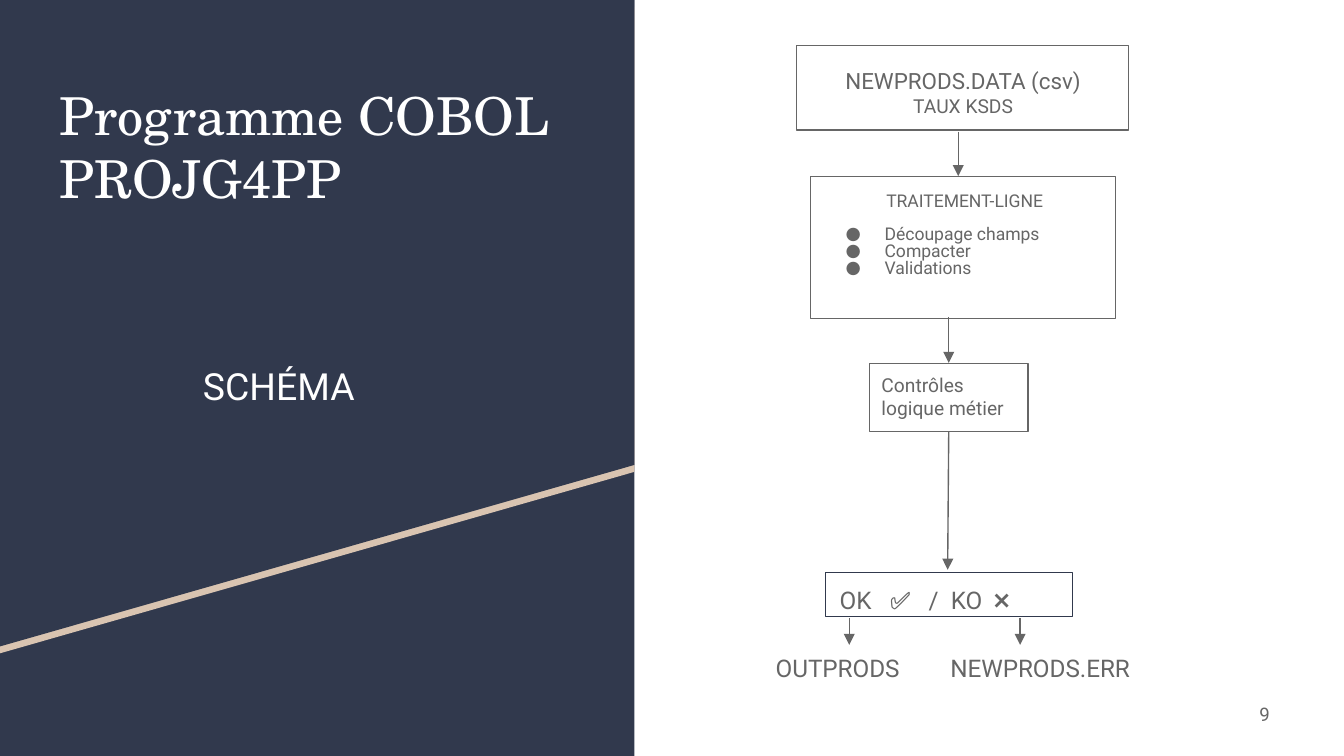
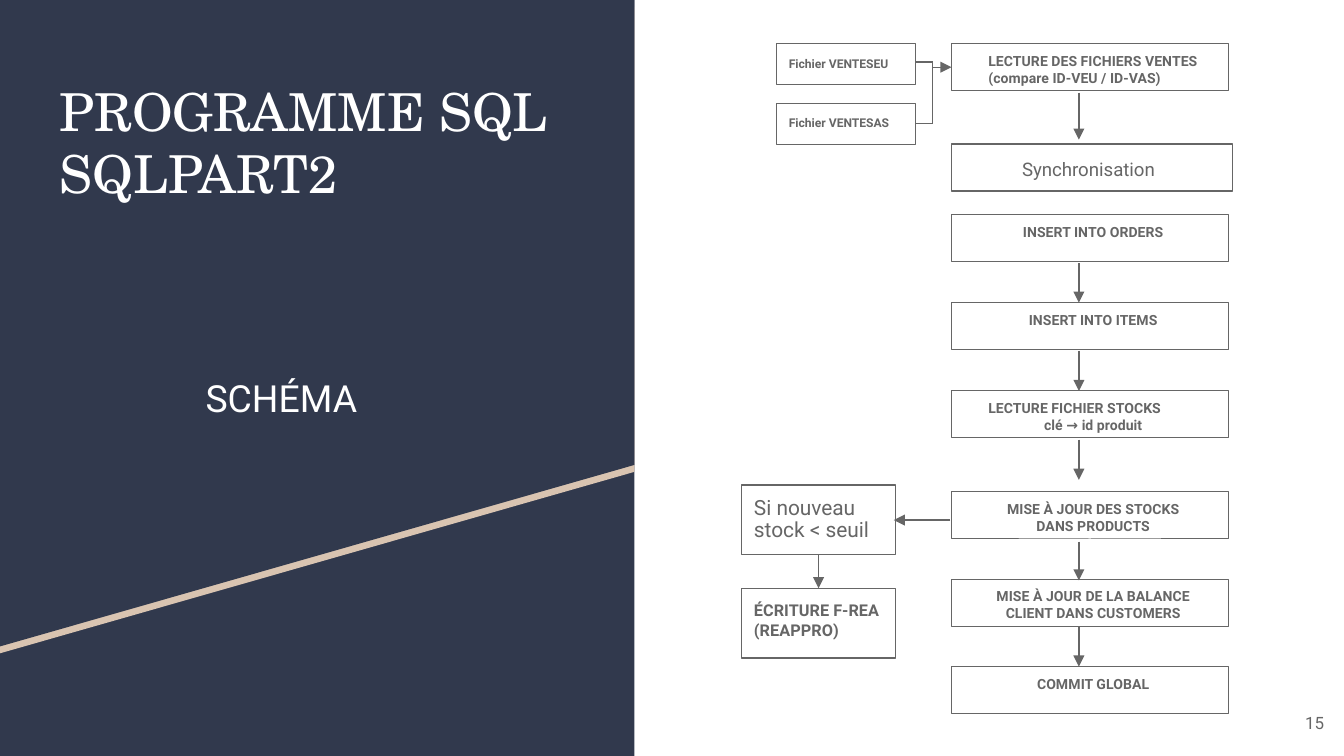
import pptx
import pptx.dml.color
import pptx.enum.shapes
import pptx.enum.text
import pptx.oxml
import pptx.oxml.ns
import pptx.util
from pptx.util import Cm

COLORS = {"navy": "31394D", "sand": "D9C4B1", "grey": "666666", "white": "FFFFFF"}
LEFT = pptx.enum.text.PP_ALIGN.LEFT
CENTER = pptx.enum.text.PP_ALIGN.CENTER
RIGHT = pptx.enum.text.PP_ALIGN.RIGHT
TOP = pptx.enum.text.MSO_ANCHOR.TOP
MIDDLE = pptx.enum.text.MSO_ANCHOR.MIDDLE
RECTANGLE = pptx.enum.shapes.MSO_SHAPE.RECTANGLE


def rgb(name):
    return pptx.dml.color.RGBColor.from_string(COLORS[name])


def write_text(shape, text, size=7.5, color="grey", font="Roboto", bold=False,
               align=LEFT, anchor=TOP, insets=(0.25, 0.25, 0.25, 0.25), spacing=None):
    frame = shape.text_frame
    frame.word_wrap = True
    frame.auto_size = pptx.enum.text.MSO_AUTO_SIZE.NONE
    frame.vertical_anchor = anchor
    frame.margin_left, frame.margin_top, frame.margin_right, frame.margin_bottom = map(Cm, insets)
    frame.text = text
    for paragraph in frame.paragraphs:
        paragraph.alignment = align
        paragraph.line_spacing = spacing
        for run in paragraph.runs:
            run.font.name = font
            run.font.size = pptx.util.Pt(size)
            run.font.bold = bold
            run.font.color.rgb = rgb(color)
    return frame.paragraphs


presentation = pptx.Presentation()
presentation.slide_width = Cm(25.4)
presentation.slide_height = Cm(14.29)
layout = presentation.slide_layouts[5]
program_slide = presentation.slides.add_slide(layout)
database_slide = presentation.slides.add_slide(layout)

panel = program_slide.shapes.add_shape(RECTANGLE, 0, 0, Cm(11.99), Cm(14.29))
decorations = [(panel, "navy")]
for top, color in [(0.13, "sand"), (0, "navy")]:
    builder = program_slide.shapes.build_freeform(0, Cm(top))
    builder.add_line_segments(
        [(Cm(11.99), Cm(top)), (Cm(11.99), Cm(top + 8.79)), (0, Cm(top + 12.22))])
    decorations.append((builder.convert_to_shape(), color))
for position, (shape, color) in enumerate(decorations):
    shape.shadow.inherit = False
    shape.fill.solid()
    shape.fill.fore_color.rgb = rgb(color)
    shape.line.fill.background()
    layout.shapes.element.insert(2 + position, shape.element)

titles = [
    (program_slide, "Programme COBOL PROJG4PP", 1.32),
    (database_slide, "PROGRAMME SQL\nSQLPART2", 1.24),
]
for slide, text, top in titles:
    title = slide.shapes.title
    title.left, title.top, title.width, title.height = Cm(0.88), Cm(top), Cm(10.29), Cm(6.96)
    write_text(title, text, size=28, color="white", font="TeX Gyre Schola")

page_number = dict(align=RIGHT, anchor=MIDDLE)
heading = dict(size=20, color="white", align=CENTER)
labels = [
    (program_slide, "SCHÉMA", 1.88, 6.61, 6.78, 2.36, heading),
    (program_slide, "9", 22.73, 12.95, 1.52, 1.09, dict(size=10, **page_number)),
    (program_slide, "OUTPRODS", 14.41, 12.09, 3.3, 0.84, dict(size=13)),
    (program_slide, "NEWPRODS.ERR", 17.71, 12.09, 4.65, 0.84, dict(size=13)),
    (database_slide, "SCHÉMA", 1.93, 6.84, 6.78, 1.45, heading),
    (database_slide, "15", 23.88, 13.16, 1.4, 0.99, dict(size=9.1, **page_number)),
]
for slide, text, left, top, width, height, style in labels:
    label = slide.shapes.add_textbox(Cm(left), Cm(top), Cm(width), Cm(height))
    write_text(label, text, **style)

boxes = [
    (program_slide, "NEWPRODS.DATA (csv)\nTAUX KSDS", 15.06, 0.86, 6.27, 1.6, 0.69, "grey",
     dict(size=12, align=CENTER, insets=(0.25, 0.41, 0.23, 0))),
    (program_slide, "TRAITEMENT-LIGNE\nDécoupage champs\nCompacter\nValidations",
     15.32, 3.33, 5.77, 2.69, 0.64, "grey",
     dict(size=9.4, spacing=0.8, insets=(0.23, 0.33, 0.18, 0))),
    (program_slide, "Contrôles logique métier", 16.43, 6.88, 3, 1.27, 0.6, "grey",
     dict(size=10.3, insets=(0.23, 0.18, 0.18, 0))),
    (program_slide, "OK\t✅\t/\tKO\t❌", 15.6, 10.82, 4.67, 0.84, 0.75, "navy",
     dict(size=13, insets=(0.27, 0.25, 0.25, 0))),
    (database_slide, "Synchronisation", 17.98, 2.72, 5.31, 0.89, 0.75, "grey",
     dict(size=10, align=CENTER, insets=(0.2, 0.27, 0.33, 0))),
]

file_style = dict(size=6.5, bold=True, insets=(0.23, 0.23, 0.23, 0))
for text, top in [("Fichier VENTESEU", 0.83), ("Fichier VENTESAS", 1.96)]:
    boxes.append((database_slide, text, 14.68, top, 2.62, 0.77, 0.68, "grey", file_style))

reorder_steps = [
    ("Si nouveau stock < seuil", 9.17, dict(size=11.2, spacing=0.9)),
    ("ÉCRITURE F-REA (REAPPRO)", 11.12, dict(size=8.7, bold=True)),
]
for text, top, style in reorder_steps:
    boxes.append((database_slide, text, 14.02, top, 2.9, 1.32, 0.65, "grey",
                  dict(insets=(0.23, 0.23, 0.23, 0), **style)))

database_steps = [
    ("LECTURE DES FICHIERS VENTES (compare ID-VEU / ID-VAS)", 0.83, LEFT),
    ("INSERT INTO ORDERS", 4.06, CENTER),
    ("INSERT INTO ITEMS", 5.72, CENTER),
    ("LECTURE FICHIER STOCKS\nclé → id produit", 7.39, LEFT),
    ("MISE À JOUR DES STOCKS DANS PRODUCTS", 9.3, CENTER),
    ("MISE À JOUR DE LA BALANCE CLIENT DANS CUSTOMERS", 10.95, CENTER),
    ("COMMIT GLOBAL", 12.6, CENTER),
]
for text, top, align in database_steps:
    boxes.append((database_slide, text, 17.98, top, 5.23, 0.89, 0.54, "grey",
                  dict(bold=True, align=align, insets=(0.7, 0.16, 0.57, 0))))

paragraphs = {}
for slide, text, left, top, width, height, outline, color, style in boxes:
    box = slide.shapes.add_shape(RECTANGLE, Cm(left), Cm(top), Cm(width), Cm(height))
    box.shadow.inherit = False
    box.fill.solid()
    box.fill.fore_color.rgb = rgb("white")
    box.line.color.rgb = rgb(color)
    box.line.width = pptx.util.Pt(outline)
    paragraphs[text.split("\n")[0]] = write_text(box, text, **style)

paragraphs["NEWPRODS.DATA (csv)"][1].runs[0].font.size = pptx.util.Pt(10.3)
paragraphs["LECTURE FICHIER STOCKS"][1].alignment = CENTER

process_title, *process_items = paragraphs["TRAITEMENT-LIGNE"]
process_title.alignment = CENTER
process_title.space_after = pptx.util.Pt(9)
for paragraph in process_items:
    properties = paragraph._p.get_or_add_pPr()
    properties.set("marL", str(Cm(1.17)))
    properties.set("indent", str(Cm(-0.74)))
    for tag in ('buFont {} typeface="Roboto"', 'buChar {} char="●"'):
        properties.append(pptx.oxml.parse_xml(
            f'<a:{tag.format(pptx.oxml.ns.nsdecls("a"))}/>'))

result_properties = paragraphs["OK\t✅\t/\tKO\t❌"][0]._p.get_or_add_pPr()
tab_stops = "".join(f'<a:tab pos="{Cm(stop)}" algn="l"/>' for stop in (0.95, 1.68, 2.1, 2.91))
result_properties.append(pptx.oxml.parse_xml(
    f'<a:tabLst {pptx.oxml.ns.nsdecls("a")}>{tab_stops}</a:tabLst>'))

connectors = [
    (program_slide, 18.11, 2.49, 18.11, 3.33, True),
    (program_slide, 17.93, 5.99, 17.93, 6.86, True),
    (program_slide, 17.93, 8.15, 17.91, 10.77, True),
    (program_slide, 16.05, 11.68, 16.05, 12.19, True),
    (program_slide, 19.28, 11.68, 19.28, 12.19, True),
    (database_slide, 17.63, 1.17, 17.63, 2.34, False),
    (database_slide, 17.63, 1.17, 17.3, 1.17, False),
    (database_slide, 17.63, 2.34, 17.3, 2.34, False),
    (database_slide, 17.63, 1.27, 17.98, 1.27, True),
    (database_slide, 17.96, 9.83, 16.89, 9.83, True),
    (database_slide, 15.47, 10.49, 15.47, 11.12, True),
]
for top, bottom in [(1.75, 2.64), (4.98, 5.72), (6.63, 7.39),
                    (8.31, 9.07), (10.24, 10.97), (11.84, 12.6)]:
    connectors.append((database_slide, 20.39, top, 20.39, bottom, True))

for slide, start_x, start_y, end_x, end_y, has_arrow in connectors:
    connector = slide.shapes.add_connector(
        pptx.enum.shapes.MSO_CONNECTOR.STRAIGHT,
        Cm(start_x), Cm(start_y), Cm(end_x), Cm(end_y))
    connector.line.color.rgb = rgb("grey")
    connector.line.width = pptx.util.Pt(0.75 if slide is program_slide else 0.68)
    if has_arrow:
        connector.line._get_or_add_ln().append(pptx.oxml.parse_xml(
            f'<a:tailEnd {pptx.oxml.ns.nsdecls("a")} type="triangle"/>'))
    connector.element.spPr.append(pptx.oxml.parse_xml(
        f'<a:effectLst {pptx.oxml.ns.nsdecls("a")}/>'))

presentation.save("out.pptx")
